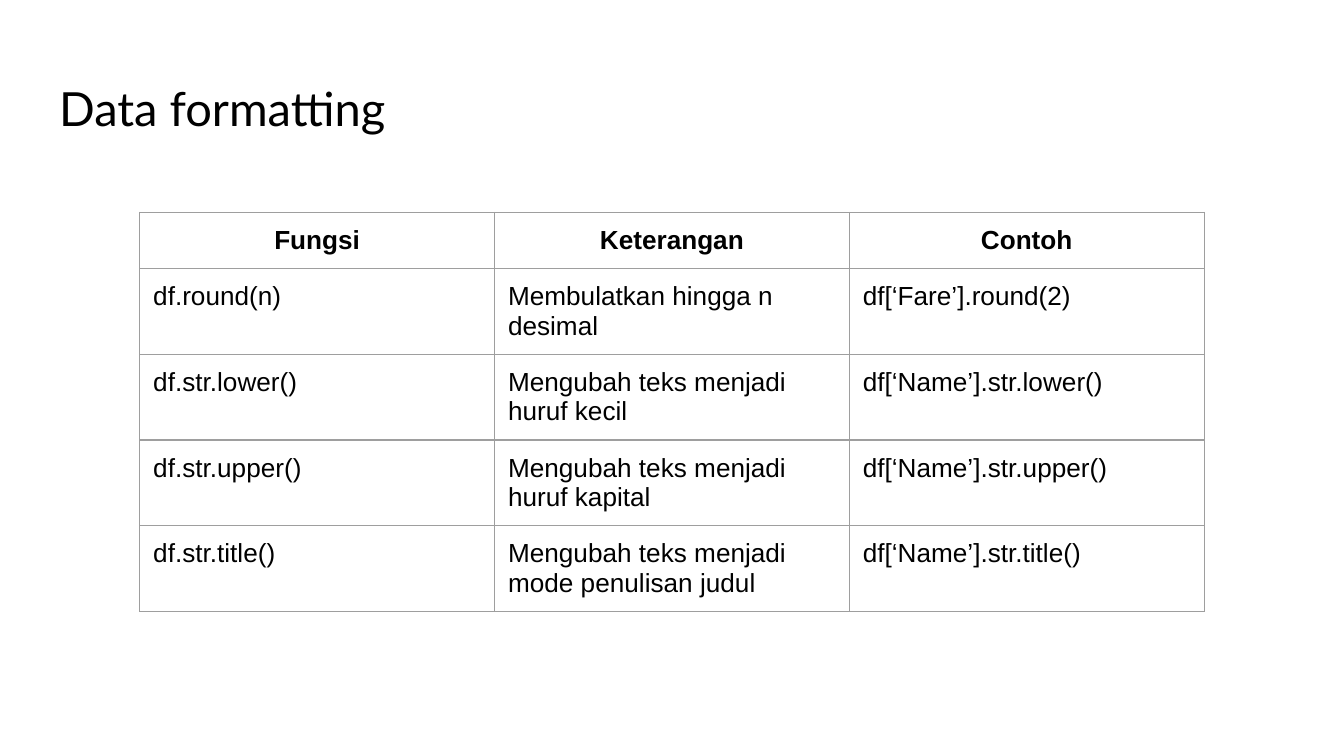
from dataclasses import dataclass

from lxml.etree import SubElement
from pptx import Presentation
from pptx.dml.color import RGBColor as RGB
from pptx.enum.text import MSO_ANCHOR as ANCHOR, PP_ALIGN as ALIGN
from pptx.oxml.ns import qn
from pptx.util import Inches, Pt


@dataclass(frozen=True)
class Theme:
    """Colours, fonts and sizes of the deck."""
    ink: str = "000000"
    rule: str = "9E9E9E"
    title_font: str = "Lato"
    body_font: str = "Arial"
    title_size: float = 25.2
    body_size: float = 14
    rule_width: float = 0.75
    inset: float = 0.1


THEME = Theme()
WIDTH = 10
HEIGHT = WIDTH * 9 / 16
TITLE_BOX = (0.34, 0.49, 9.32, 0.63)
TABLE_BOX = (1.04, 1.58, 7.92, 2.1)
ROWS = [
    ("Fungsi", "Keterangan", "Contoh"),
    ("df.round(n)", "Membulatkan hingga n desimal", "df[‘Fare’].round(2)"),
    ("df.str.lower()", "Mengubah teks menjadi huruf kecil", "df[‘Name’].str.lower()"),
    ("df.str.upper()", "Mengubah teks menjadi huruf kapital", "df[‘Name’].str.upper()"),
    ("df.str.title()", "Mengubah teks menjadi mode penulisan judul", "df[‘Name’].str.title()"),
]


def style_paragraph(p, font, size, align, bold=False):
    """Format a whole paragraph."""
    p.alignment = align
    p.font.name, p.font.size, p.font.bold = font, Pt(size), bold
    p.font.color.rgb = RGB.from_string(THEME.ink)


def set_margins(target):
    """Give a text frame or cell the theme's inset on every side."""
    for side in ("left", "top", "right", "bottom"):
        setattr(target, f"margin_{side}", Inches(THEME.inset))


def add_borders(cell):
    """Rule all four edges of a cell."""
    props = cell._tc.get_or_add_tcPr()
    for edge in ("a:lnL", "a:lnR", "a:lnT", "a:lnB"):
        line = SubElement(props, qn(edge), w=str(Pt(THEME.rule_width)))
        fill = SubElement(line, qn("a:solidFill"))
        SubElement(fill, qn("a:srgbClr"), val=THEME.rule)


def place_title(s, text, box):
    """Fill the title placeholder and fit it to the box."""
    sp = s.shapes.title
    sp.left, sp.top, sp.width, sp.height = map(Inches, box)
    tf = sp.text_frame
    tf.text = text
    tf.word_wrap = True
    tf.vertical_anchor = ANCHOR.TOP
    set_margins(tf)
    style_paragraph(tf.paragraphs[0], THEME.title_font, THEME.title_size, ALIGN.LEFT)


def place_table(s, rows, box):
    """Draw a ruled table with a bold centred header in the box."""
    table = s.shapes.add_table(len(rows), len(rows[0]), *map(Inches, box)).table
    table.horz_banding = table.first_row = False
    for i, row in enumerate(rows):
        header = i == 0
        for j, text in enumerate(row):
            cell = table.cell(i, j)
            cell.text = text
            set_margins(cell)
            add_borders(cell)
            cell.fill.background()
            style_paragraph(cell.text_frame.paragraphs[0], THEME.body_font, THEME.body_size,
                            ALIGN.CENTER if header else ALIGN.LEFT, header)


def main():
    """Build and save the slide."""
    prs = Presentation()
    prs.slide_width, prs.slide_height = Inches(WIDTH), Inches(HEIGHT)
    s = prs.slides.add_slide(prs.slide_layouts.get_by_name("Title Only"))
    place_title(s, "Data formatting", TITLE_BOX)
    place_table(s, ROWS, TABLE_BOX)
    prs.save("out.pptx")


if __name__ == "__main__":
    main()
